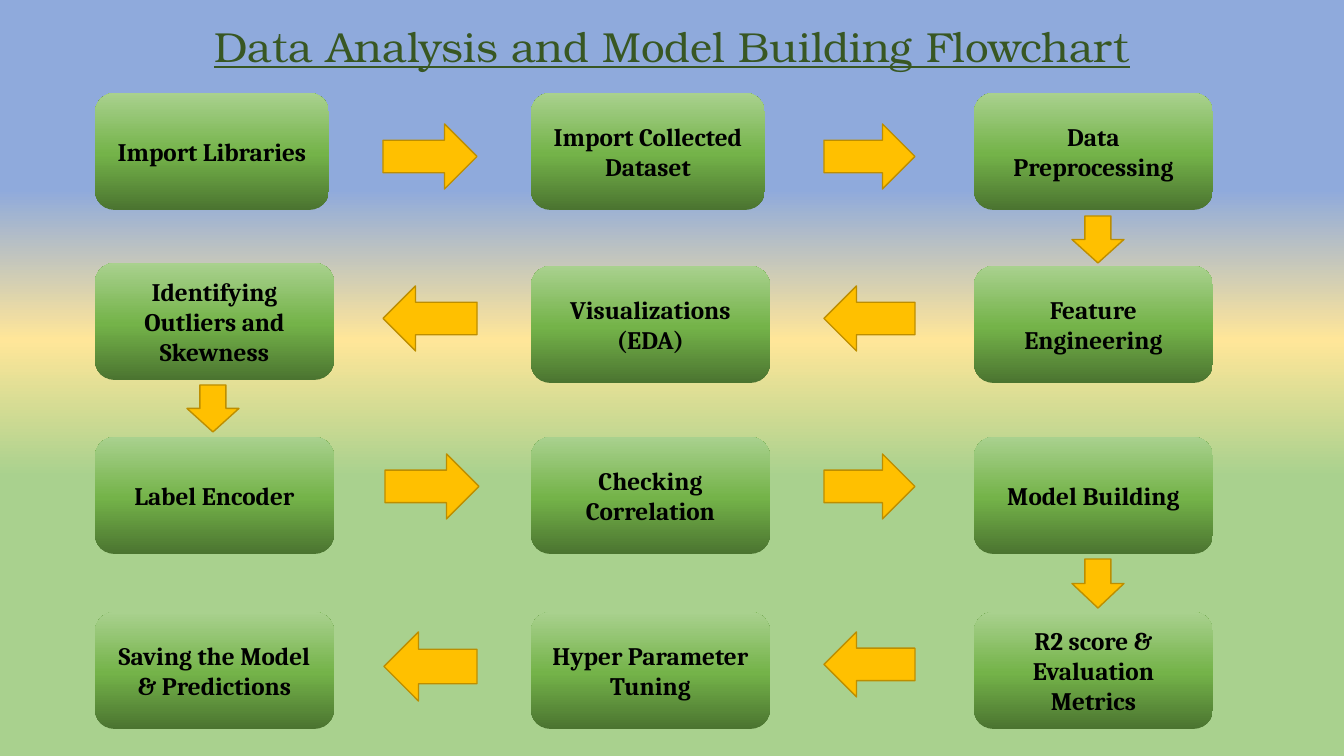
import copy
import dataclasses

import pptx
import pptx.dml.color
import pptx.enum.shapes
import pptx.enum.text
import pptx.oxml.ns
import pptx.util

KIND = pptx.enum.shapes.MSO_SHAPE
ALIGN = pptx.enum.text.PP_ALIGN
SCALE = 914400 / 100.8


@dataclasses.dataclass(frozen=True)
class Theme:
    """Colours, fonts and type sizes of the slide."""
    sky: tuple = ((25, "8FAADC"), (45, "FFE699"), (63, "A9D18E"))
    leaf: tuple = ((0, "4B7430"), (48, "74B349"), (100, "A9D18E"))
    gold: str = "FFC000"
    edge: str = "BD8E00"
    head: str = "385723"
    ink: str = "000000"
    serif: str = "TeX Gyre Bonum"
    body: str = "Cambria"
    large: int = 30
    small: int = 18


THEME = Theme()

COLS = (95, 531, 974)
ROWS = (93, 266, 437, 612)
STEPS = (
    ("Import Libraries", "Import Collected Dataset", "Data Preprocessing"),
    ("Identifying Outliers and Skewness", "Visualizations\n(EDA)", "Feature Engineering"),
    ("Label Encoder", "Checking Correlation", "Model Building"),
    ("Saving the Model & Predictions", "Hyper Parameter Tuning", "R2 score & Evaluation Metrics"),
)
WIDE, HIGH = 239, 117
SLIM = 234
RAISED = {(1, 0): 3}
ACROSS = (
    (KIND.RIGHT_ARROW, (383, 124, 94, 65), (824, 124, 91, 65)),
    (KIND.LEFT_ARROW, (383, 286, 94, 65), (824, 286, 91, 65)),
    (KIND.RIGHT_ARROW, (385, 454, 94, 65), (824, 454, 91, 65)),
    (KIND.LEFT_ARROW, (384, 632, 93, 69), (824, 632, 91, 65)),
)
DOWN = ((1072, 216, 52, 47), (187, 385, 52, 47), (1072, 559, 52, 49))


def px(*vals):
    """Turn pixel lengths into EMU."""
    return [pptx.util.Emu(round(v * SCALE)) for v in vals]


def rgb(code):
    """Return the colour for a hex code."""
    return pptx.dml.color.RGBColor.from_string(code)


def blend(fill, root, stops, angle):
    """Give a fill a linear gradient with any number of stops."""
    fill.gradient()
    fill.gradient_angle = angle
    group = next(root.iter(pptx.oxml.ns.qn("a:gsLst")))
    while len(group) < len(stops):
        group.append(copy.deepcopy(group[-1]))
    for stop, (place, code) in zip(fill.gradient_stops, stops):
        stop.position = place / 100
        stop.color.rgb = rgb(code)


def write(frame, text, face, size, code, bold=False, under=False):
    """Set centred text in one style."""
    frame.word_wrap = True
    frame.text = text
    for para in frame.paragraphs:
        para.alignment = ALIGN.CENTER
        font = para.font
        font.name, font.size = face, pptx.util.Pt(size)
        font.bold, font.underline = bold, under
        font.color.rgb = rgb(code)


def title(slide, box):
    """Place the heading in its box."""
    frame = slide.shapes.add_textbox(*px(*box)).text_frame
    write(frame, "Data Analysis and Model Building Flowchart",
          THEME.serif, THEME.large, THEME.head, under=True)
    frame.auto_size = pptx.enum.text.MSO_AUTO_SIZE.SHAPE_TO_FIT_TEXT


def arrow(slide, kind, box):
    """Place a gold block arrow in its box."""
    shape = slide.shapes.add_shape(kind, *px(*box))
    shape.shadow.inherit = False
    shape.fill.solid()
    shape.fill.fore_color.rgb = rgb(THEME.gold)
    shape.line.color.rgb = rgb(THEME.edge)
    shape.line.width = pptx.util.Pt(1)


def step(slide, text, box):
    """Place a green process step in its box."""
    shape = slide.shapes.add_shape(KIND.FLOWCHART_ALTERNATE_PROCESS, *px(*box))
    shape.shadow.inherit = False
    blend(shape.fill, shape.element, THEME.leaf, 90)
    shape.line.fill.background()
    write(shape.text_frame, text, THEME.body, THEME.small, THEME.ink, bold=True)


def chart(slide):
    """Lay out the arrows and then the grid of steps."""
    for kind, *boxes in ACROSS:
        for box in boxes:
            arrow(slide, kind, box)
    for box in DOWN:
        arrow(slide, KIND.DOWN_ARROW, box)
    for row, (top, names) in enumerate(zip(ROWS, STEPS)):
        for col, (left, name) in enumerate(zip(COLS, names)):
            wide = SLIM if row == 0 and col < 2 else WIDE
            step(slide, name, (left, top - RAISED.get((row, col), 0), wide, HIGH))


def main():
    """Build and save the slide."""
    deck = pptx.Presentation()
    deck.slide_width, deck.slide_height = px(1344, 756)
    slide = deck.slides.add_slide(deck.slide_layouts[6])
    blend(slide.background.fill, slide.element, THEME.sky, 270)
    title(slide, (0, 16, 1344, 61))
    chart(slide)
    deck.save("out.pptx")


if __name__ == "__main__":
    main()
